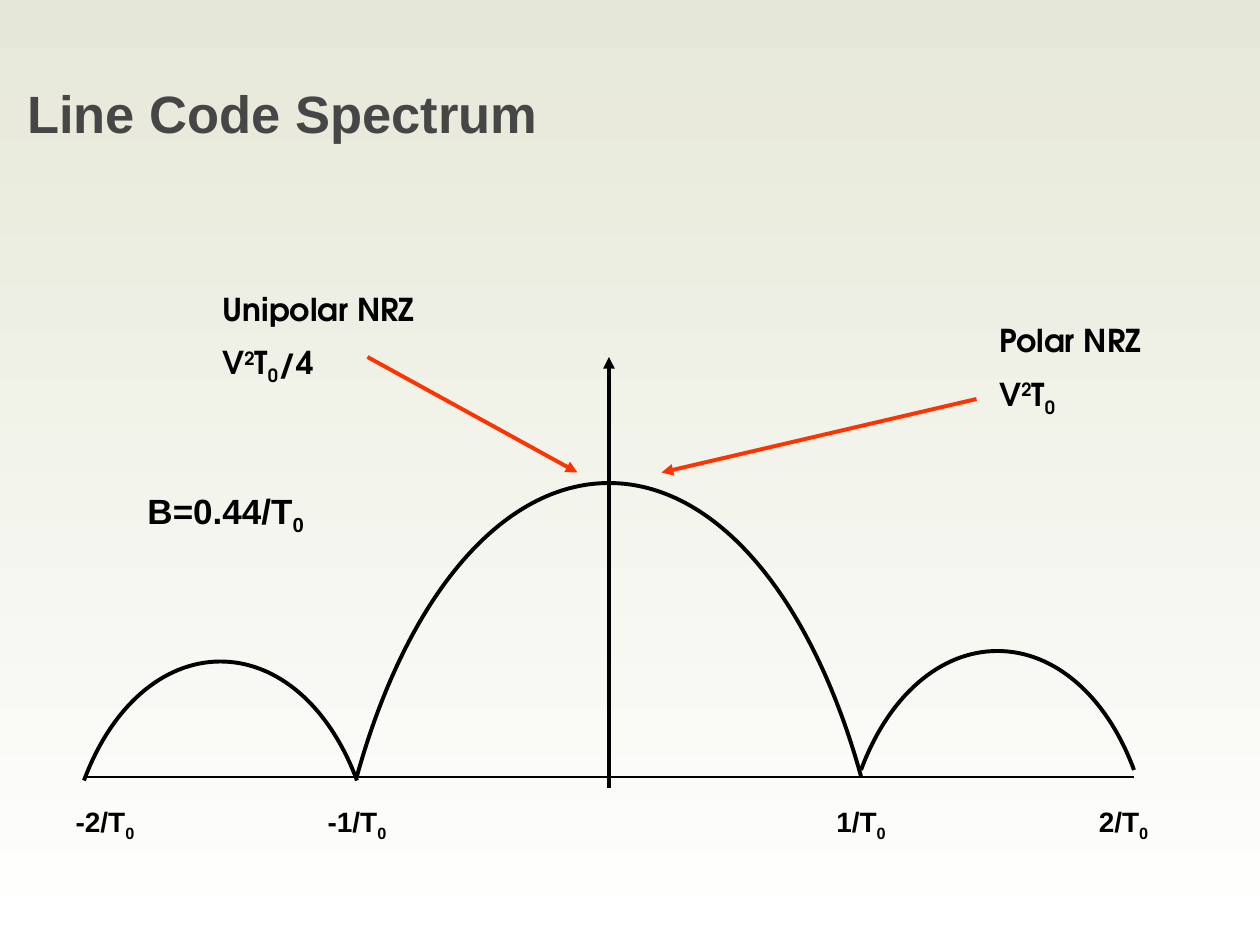
from lxml.etree import SubElement
from pptx import Presentation
from pptx.dml.color import RGBColor
from pptx.enum.shapes import MSO_CONNECTOR as Connector
from pptx.enum.text import MSO_ANCHOR as Anchor, PP_ALIGN as Align
from pptx.oxml.ns import qn
from pptx.util import Pt

BLACK, RED, GREY = "000000", "FF3300", "464646"
BACKGROUND = ["E6E8D7", "FFFFFF"]
SANS, GEOMETRIC = "Arial", "TeX Gyre Adventor"
SUB, SUPER = -25000, 30000

TITLE = [[("Line Code Spectrum", 0)]]
UNIPOLAR = [[("Unipolar NRZ", 0)],
            [("V", 0), ("2", SUPER), ("T", 0), ("0", SUB), ("/4", 0)]]
POLAR = [[("Polar NRZ", 0)],
         [("V", 0), ("2", SUPER), ("T", 0), ("0", SUB)]]
BANDWIDTH = [[("B=0.44/T", 0), ("0", SUB)]]

TEXTS = [
    (TITLE, (8.6, 39, 668, 51), SANS, 30, GREY, Align.LEFT, Anchor.MIDDLE),
    (UNIPOLAR, (120, 162, 144, 61), GEOMETRIC, 18, BLACK, Align.LEFT, Anchor.TOP),
    (POLAR, (564, 180, 102, 61), GEOMETRIC, 18, BLACK, Align.LEFT, Anchor.TOP),
    (BANDWIDTH, (48, 276, 162, 31), SANS, 20, BLACK, Align.CENTER, Anchor.TOP),
]
TICKS = [("-2/T", 60), ("-1/T", 204), ("1/T", 492), ("2/T", 642)]
TICK_TOP, TICK_WIDTH, TICK_HEIGHT = 456, 72, 27

LOBES = [(348, 276, 144, 167.5), (570, 372, 78, 68), (126, 378, 78, 68)]
HALF_LOBE = [(-1, 1), (-0.8, 0.38), (-0.42, 0), (0, 0)]

LINES = [
    ((348, 450), (348, 204), BLACK, 2.25, True),
    ((48, 444), (648, 444), BLACK, 1, False),
    ((210, 204), (330, 270), RED, 2.25, True),
    ((558, 228), (378, 270), RED, 2.25, True),
]


def color(value):
    return RGBColor.from_string(value)


def add_text(slide, paragraphs, box, font, size, ink, align, anchor):
    frame = slide.shapes.add_textbox(*map(Pt, box)).text_frame
    frame.word_wrap = True
    frame.vertical_anchor = anchor
    for index, runs in enumerate(paragraphs):
        paragraph = frame.add_paragraph() if index else frame.paragraphs[0]
        paragraph.alignment = align
        paragraph.space_before = Pt(size / 2 if index else 0)
        paragraph.font.name = font
        paragraph.font.size = Pt(size)
        paragraph.font.bold = True
        paragraph.font.color.rgb = color(ink)
        for text, baseline in runs:
            run = paragraph.add_run()
            run.text = text
            if baseline:
                run._r.get_or_add_rPr().set("baseline", str(baseline))


def bend_segments(shape):
    outline = next(shape._element.iter(qn("a:path")))
    segments = outline.findall(qn("a:lnTo"))
    for first in range(0, len(segments), 3):
        curve = SubElement(outline, qn("a:cubicBezTo"))
        for segment in segments[first:first + 3]:
            curve.append(segment[0])
            outline.remove(segment)


def add_lobe(slide, center, top, half_width, height):
    lobe = HALF_LOBE + [(-x, y) for x, y in HALF_LOBE[-2::-1]]
    points = [(Pt(center + x * half_width), Pt(top + y * height)) for x, y in lobe]
    builder = slide.shapes.build_freeform(*points[0])
    builder.add_line_segments(points[1:], close=False)
    shape = builder.convert_to_shape()
    bend_segments(shape)
    shape.shadow.inherit = False
    shape.fill.background()
    shape.line.color.rgb = color(BLACK)
    shape.line.width = Pt(2.25)


def add_line(slide, start, end, ink, width, arrow):
    connector = slide.shapes.add_connector(Connector.STRAIGHT, *map(Pt, start + end))
    connector.line.color.rgb = color(ink)
    connector.line.width = Pt(width)
    if arrow:
        SubElement(connector.line._get_or_add_ln(), qn("a:tailEnd"), type="triangle")
    SubElement(connector._element.spPr, qn("a:effectLst"))


def main():
    presentation = Presentation()
    presentation.slide_width, presentation.slide_height = Pt(720), Pt(540)
    slide = presentation.slides.add_slide(presentation.slide_layouts[6])

    fill = slide.background.fill
    fill.gradient()
    fill.gradient_angle = 270
    for stop, value in zip(fill.gradient_stops, BACKGROUND):
        stop.color.rgb = color(value)

    for lobe in LOBES:
        add_lobe(slide, *lobe)
    for line in LINES:
        add_line(slide, *line)
    for text in TEXTS:
        add_text(slide, *text)
    for label, center in TICKS:
        box = (center - TICK_WIDTH / 2, TICK_TOP, TICK_WIDTH, TICK_HEIGHT)
        add_text(slide, [[(label, 0), ("0", SUB)]], box, SANS, 16, BLACK,
                 Align.CENTER, Anchor.TOP)

    presentation.save("out.pptx")


if __name__ == "__main__":
    main()
